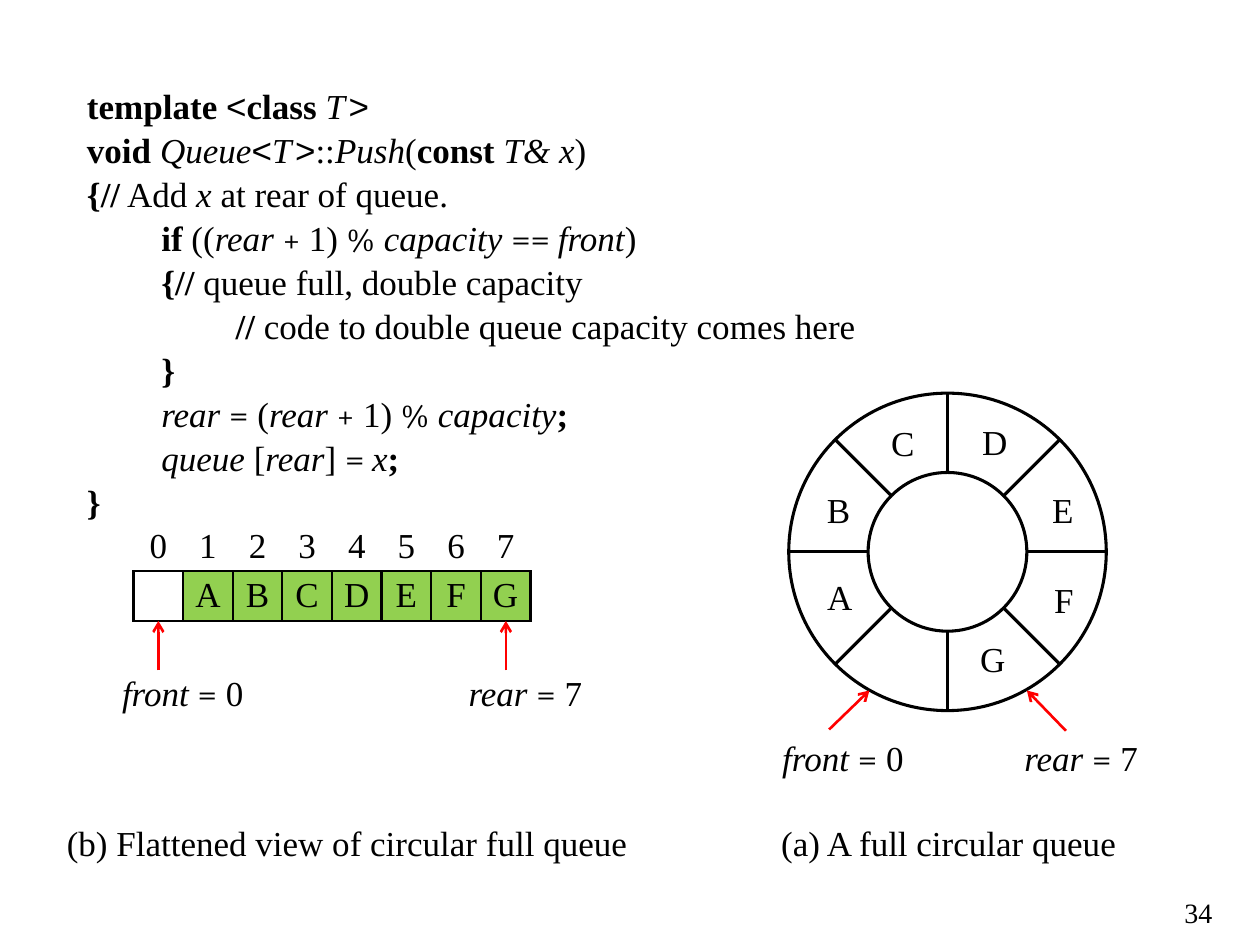
from math import cos, pi, sin

from lxml import etree
from pptx import Presentation
from pptx.dml.color import RGBColor
from pptx.enum.shapes import MSO_CONNECTOR, MSO_SHAPE
from pptx.enum.text import MSO_ANCHOR, MSO_AUTO_SIZE, PP_ALIGN
from pptx.oxml.ns import qn
from pptx.util import Inches, Pt

BLACK = RGBColor(0, 0, 0)
WHITE = RGBColor(255, 255, 255)
RED = RGBColor(255, 0, 0)
GREEN = RGBColor(0x92, 0xD0, 0x50)
LEFT, CENTER, RIGHT = PP_ALIGN.LEFT, PP_ALIGN.CENTER, PP_ALIGN.RIGHT
TOP, MIDDLE, BOTTOM = MSO_ANCHOR.TOP, MSO_ANCHOR.MIDDLE, MSO_ANCHOR.BOTTOM
NO_AUTOFIT = MSO_AUTO_SIZE.NONE
OVAL = MSO_SHAPE.OVAL
STRAIGHT = MSO_CONNECTOR.STRAIGHT

BASE = {"name": "Times New Roman", "size": Pt(20), "bold": False, "italic": False}
STYLES = {
    "plain": {},
    "bold": {"bold": True},
    "italic": {"italic": True},
    "type": {"italic": True},
    "bracket": {"name": "Arial"},
    "sign": {"name": "Cambria", "size": Pt(18)},
    "equals": {"name": "Cambria"},
    "page": {"size": Pt(16)},
}
TYPE_SPACING = "200"

NEXT_REAR = [("rear ", "italic"), ("+", "sign"), (" 1) ", "plain"),
             ("%", "sign"), (" ", "plain")]
TYPE_ARGUMENT = [("T", "type"), (">", "bracket")]
CODE = [
    (0, [("template ", "bold"), ("<", "bracket"), ("class ", "bold"), *TYPE_ARGUMENT]),
    (0, [("void ", "bold"), ("Queue", "italic"), ("<", "bracket"), *TYPE_ARGUMENT,
         ("::", "plain"), ("Push", "italic"), ("(", "plain"), ("const ", "bold"),
         ("T& x", "italic"), (")", "plain")]),
    (0, [("{//", "bold"), (" Add ", "plain"), ("x", "italic"),
         (" at rear of queue.", "plain")]),
    (1, [("if", "bold"), (" ((", "plain"), *NEXT_REAR, ("capacity ", "italic"),
         ("== ", "equals"), ("front", "italic"), (")", "plain")]),
    (1, [("{//", "bold"), (" queue full, double capacity", "plain")]),
    (2, [("//", "bold"), (" code to double queue capacity comes here", "plain")]),
    (1, [("}", "bold")]),
    (1, [("rear ", "italic"), ("=", "equals"), (" (", "plain"), *NEXT_REAR,
         ("capacity", "italic"), (";", "bold")]),
    (1, [("queue", "italic"), (" [", "plain"), ("rear", "italic"), ("] ", "plain"),
         ("= ", "equals"), ("x", "italic"), (";", "bold")]),
    (0, [("}", "bold")]),
]
INDENT = 0.59

CENTER_X, CENTER_Y, OUTER, INNER = 7.52, 4.38, 1.26, 0.63
RING_LABELS = [
    ("A", 6.43, 4.52, CENTER), ("B", 6.42, 3.83, CENTER),
    ("C", 6.93, 3.3, CENTER), ("D", 7.66, 3.29, CENTER),
    ("E", 8.15, 3.83, RIGHT), ("F", 8.15, 4.54, RIGHT), ("G", 7.68, 5.01, LEFT),
]
LABEL = 0.47
SLOTS = ["", *"ABCDEFG"]
CELL, TABLE_X, TABLE_Y = 0.394, 1.06, 4.14


def add_runs(paragraph, runs):
    for text, style in runs:
        run = paragraph.add_run()
        run.text = text
        for attribute, value in {**BASE, **STYLES[style]}.items():
            setattr(run.font, attribute, value)
        run.font.color.rgb = BLACK
        if style == "type":
            run.font._element.set("spc", TYPE_SPACING)


def fill_body(placeholder, box, lines, anchor, spacing=1.0):
    sides = ("left", "top", "width", "height")
    for side, value in zip(sides, box):
        setattr(placeholder, side, Inches(value))
    frame = placeholder.text_frame
    frame.auto_size = NO_AUTOFIT
    frame.word_wrap = True
    frame.vertical_anchor = anchor
    for number, (level, runs) in enumerate(lines):
        paragraph = frame.add_paragraph() if number else frame.paragraphs[0]
        properties = paragraph._p.get_or_add_pPr()
        properties.set("marL", str(Inches(INDENT * level)))
        properties.set("indent", "0")
        etree.SubElement(properties, qn("a:buNone"))
        paragraph.space_before = Pt(0)
        paragraph.line_spacing = spacing
        add_runs(paragraph, runs)


def add_label(slide, box, runs, align=CENTER, anchor=TOP):
    frame = slide.shapes.add_textbox(*map(Inches, box)).text_frame
    frame.word_wrap = False
    frame.vertical_anchor = anchor
    frame.paragraphs[0].alignment = align
    add_runs(frame.paragraphs[0], runs)


def add_pointer_label(slide, box, name, value, align=CENTER, anchor=TOP):
    runs = [(name + " ", "italic"), ("=", "equals"), (f" {value}", "plain")]
    add_label(slide, box, runs, align, anchor)


def add_line(slide, start, end, color=BLACK, width=1.75, arrow=False):
    line = slide.shapes.add_connector(STRAIGHT, *map(Inches, (*start, *end)))
    line.line.color.rgb = color
    line.line.width = Pt(width)
    if arrow:
        etree.SubElement(line.line._get_or_add_ln(), qn("a:tailEnd"), type="arrow")
    etree.SubElement(line._element.spPr, qn("a:effectLst"))


def add_arrow(slide, start, end):
    add_line(slide, start, end, RED, 1.5, arrow=True)


def add_circle(slide, radius, filled):
    box = (CENTER_X - radius, CENTER_Y - radius, 2 * radius, 2 * radius)
    circle = slide.shapes.add_shape(OVAL, *map(Inches, box))
    circle.shadow.inherit = False
    if filled:
        circle.fill.solid()
        circle.fill.fore_color.rgb = WHITE
    else:
        circle.fill.background()
    circle.line.color.rgb = BLACK
    circle.line.width = Pt(1.75)


def add_ring(slide):
    add_circle(slide, OUTER, filled=False)
    for step in range(4):
        dx, dy = OUTER * cos(step * pi / 4), OUTER * sin(step * pi / 4)
        add_line(slide, (CENTER_X - dx, CENTER_Y - dy), (CENTER_X + dx, CENTER_Y + dy))
    add_circle(slide, INNER, filled=True)
    for letter, x, y, align in RING_LABELS:
        add_label(slide, (x, y, LABEL, LABEL), [(letter, "plain")], align)


def set_borders(cell, edges):
    properties = cell._tc.get_or_add_tcPr()
    for position, edge in enumerate(edges):
        border = etree.Element(qn(f"a:ln{edge}"), w=str(Pt(1.5)))
        fill = etree.SubElement(border, qn("a:solidFill"))
        etree.SubElement(fill, qn("a:srgbClr"), val=str(BLACK))
        properties.insert(position, border)


def set_cell(cell, text, color, edges):
    for side in ("left", "right", "top", "bottom"):
        setattr(cell, f"margin_{side}", 0)
    cell.vertical_anchor = MIDDLE
    paragraph = cell.text_frame.paragraphs[0]
    paragraph.alignment = CENTER
    if text:
        add_runs(paragraph, [(text, "plain")])
    if color is None:
        cell.fill.background()
    else:
        cell.fill.solid()
        cell.fill.fore_color.rgb = color
    set_borders(cell, edges)


def add_queue_table(slide):
    box = (TABLE_X, TABLE_Y, CELL * len(SLOTS), CELL * 2)
    table = slide.shapes.add_table(2, len(SLOTS), *map(Inches, box)).table
    table.first_row = table.horz_banding = False
    for index, item in enumerate(SLOTS):
        set_cell(table.cell(0, index), str(index), None, "B")
        set_cell(table.cell(1, index), item, GREEN if item else WHITE, "LRTB")


def main():
    presentation = Presentation()
    presentation.slide_width, presentation.slide_height = Inches(10), Inches(7.5)
    slide = presentation.slides.add_slide(presentation.slide_layouts[4])
    holders = {holder.placeholder_format.idx: holder for holder in slide.placeholders}
    for unused in (0, 4):
        element = holders[unused]._element
        element.getparent().remove(element)

    fill_body(holders[3], (6.1, 6.43, 3.04, 0.47),
              [(0, [("(a) A full circular queue", "plain")])], BOTTOM)
    fill_body(holders[2], (0.59, 0.6, 6.46, 3.46), CODE, TOP, 1.05)
    fill_body(holders[1], (0.43, 6.43, 4.73, 0.47),
              [(0, [("(b) Flattened view of circular full queue", "plain")])], BOTTOM)
    add_label(slide, (9.25, 7.06, 0.47, 0.32), [("34", "page")], RIGHT)

    add_ring(slide)
    add_queue_table(slide)
    add_pointer_label(slide, (6.1, 5.8, 1.18, 0.47), "front", 0)
    add_pointer_label(slide, (7.99, 5.8, 1.18, 0.47), "rear", 7)
    add_pointer_label(slide, (0.87, 5.32, 1.38, 0.39), "front", 0, LEFT, BOTTOM)
    add_pointer_label(slide, (3.62, 5.32, 1.18, 0.39), "rear", 7, LEFT, BOTTOM)
    add_arrow(slide, (6.58, 5.79), (6.9, 5.48))
    add_arrow(slide, (8.46, 5.8), (8.15, 5.48))
    for slot in (0, 7):
        x = TABLE_X + CELL * (slot + 0.5)
        add_arrow(slide, (x, 5.32), (x, TABLE_Y + 2 * CELL))
    presentation.save("out.pptx")


if __name__ == "__main__":
    main()
